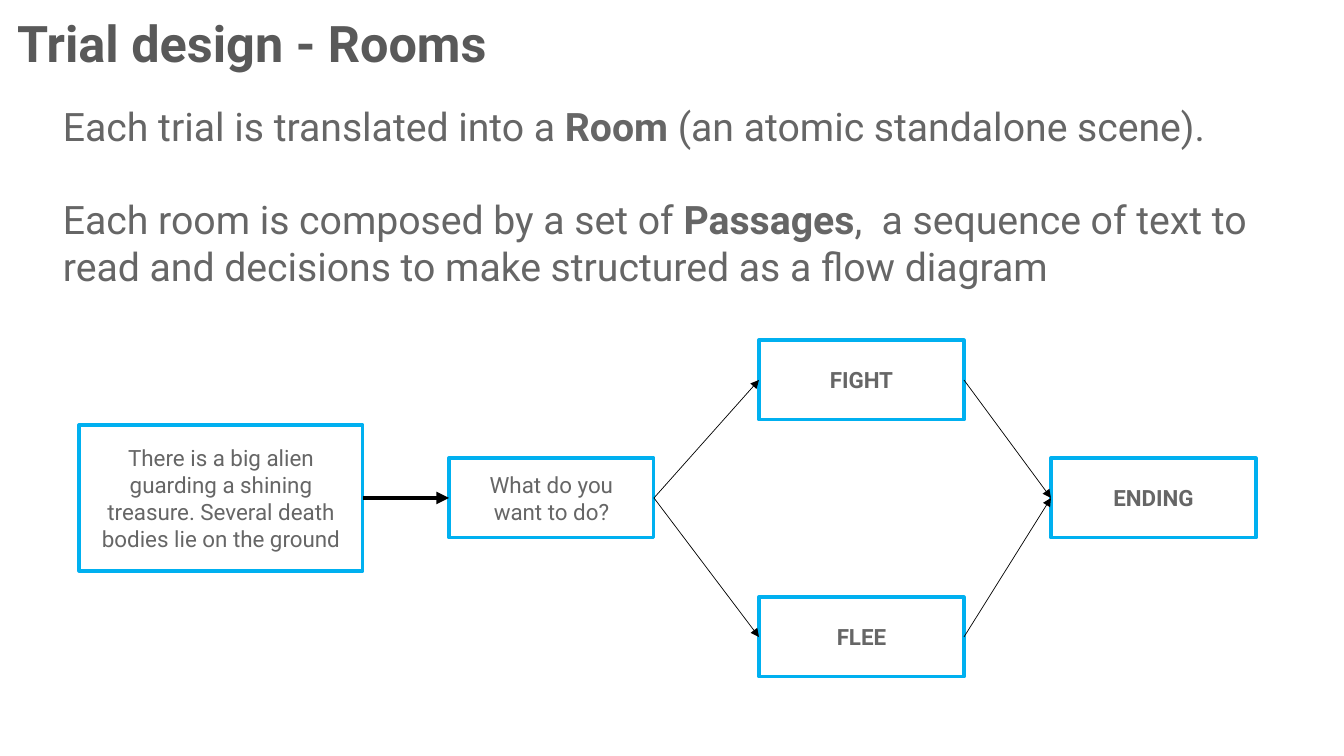
from lxml import etree
from pptx import Presentation
from pptx import util as u
from pptx.dml.color import RGBColor
from pptx.enum import shapes, text
from pptx.oxml import ns

DARK = RGBColor(0x59, 0x59, 0x59)
GREY = RGBColor(0x66, 0x66, 0x66)
BLUE = RGBColor(0x00, 0xB0, 0xF0)
WHITE = RGBColor(0xFF, 0xFF, 0xFF)
BLACK = RGBColor(0x00, 0x00, 0x00)
SCALE = 914400 / 100.8
LEFT, RIGHT = 1, 3  # connection sites of a rectangle


def px(*vals):
    """Turn pixels into EMU."""
    return [u.Emu(round(v * SCALE)) for v in vals]


def write(frame, paras, size=16, color=GREY, bold=False, gap=0,
          align=text.PP_ALIGN.LEFT, anchor=text.MSO_ANCHOR.TOP):
    """Fill a frame with paragraphs; every second part of one is bold."""
    frame.word_wrap = True
    frame.auto_size = text.MSO_AUTO_SIZE.NONE
    frame.vertical_anchor = anchor
    for i, parts in enumerate(paras):
        para = frame.add_paragraph() if i else frame.paragraphs[0]
        para.alignment = align
        para.space_before = u.Pt(gap if i else 0)
        for j, part in enumerate(parts):
            run = para.add_run()
            run.text = part
            font = run.font
            font.name, font.size = "Roboto", u.Pt(size)
            font.bold = bold or j % 2 == 1
            font.color.rgb = color


class Deck:
    """Holds the style and the current slide."""

    def __init__(self):
        """Start a deck with one title-only slide."""
        self.prs = Presentation()
        self.prs.slide_width, self.prs.slide_height = px(1344, 756)
        self.slide = self.prs.slides.add_slide(self.prs.slide_layouts[5])
        self.items = self.slide.shapes

    def title(self, label, area):
        """Place and format the title."""
        head = self.items.title
        head.left, head.top, head.width, head.height = px(*area)
        write(head.text_frame, [[label]], size=36, color=DARK, bold=True)

    def body(self, paras, area, **style):
        """Add a text box."""
        write(self.items.add_textbox(*px(*area)).text_frame, paras, **style)

    def box(self, lines, left, mid, width=205, height=80, bold=False):
        """Add a flow step centred on a height."""
        step = self.items.add_shape(
            shapes.MSO_SHAPE.RECTANGLE,
            *px(left, mid - height / 2, width, height))
        step.shadow.inherit = False
        step.fill.solid()
        step.fill.fore_color.rgb = WHITE
        step.line.color.rgb = BLUE
        step.line.width = u.Pt(2.25)
        write(step.text_frame, [[line] for line in lines], bold=bold,
              align=text.PP_ALIGN.CENTER, anchor=text.MSO_ANCHOR.MIDDLE)
        return step

    def arrow(self, start, end, width=0.5):
        """Join the right side of one step to the left side of another."""
        link = self.items.add_connector(
            shapes.MSO_CONNECTOR.STRAIGHT, 0, 0, 0, 0)
        link.begin_connect(start, RIGHT)
        link.end_connect(end, LEFT)
        link.line.color.rgb = BLACK
        link.line.width = u.Pt(width)
        etree.SubElement(link.line._get_or_add_ln(), ns.qn("a:tailEnd"),
                         type="triangle")
        etree.SubElement(link._element.spPr, ns.qn("a:effectLst"))


def main():
    """Build the slide."""
    deck = Deck()
    deck.title("Trial design - Rooms", (7, 7, 1146, 72))
    deck.body([
        ["Each trial is translated into a ", "Room",
         " (an atomic standalone scene)."],
        ["Each room is composed by a set of ", "Passages",
         ",  a sequence of text to read and decisions to make "
         "structured as a flow diagram"],
    ], (53, 97, 1239, 201), size=28, gap=33)

    mid = 498
    story = deck.box(["There is a big alien guarding a shining treasure. "
                      "Several death bodies lie on the ground"],
                     79, mid, 284, 146)
    ask = deck.box(["What do you", "want to do?"], 449, mid)
    fight = deck.box(["FIGHT"], 759, 380, bold=True)
    flee = deck.box(["FLEE"], 759, 637, bold=True)
    end = deck.box(["ENDING"], 1051, mid, bold=True)

    deck.arrow(story, ask, width=3)
    for choice in (fight, flee):
        deck.arrow(ask, choice)
        deck.arrow(choice, end)
    deck.prs.save("out.pptx")


main()
